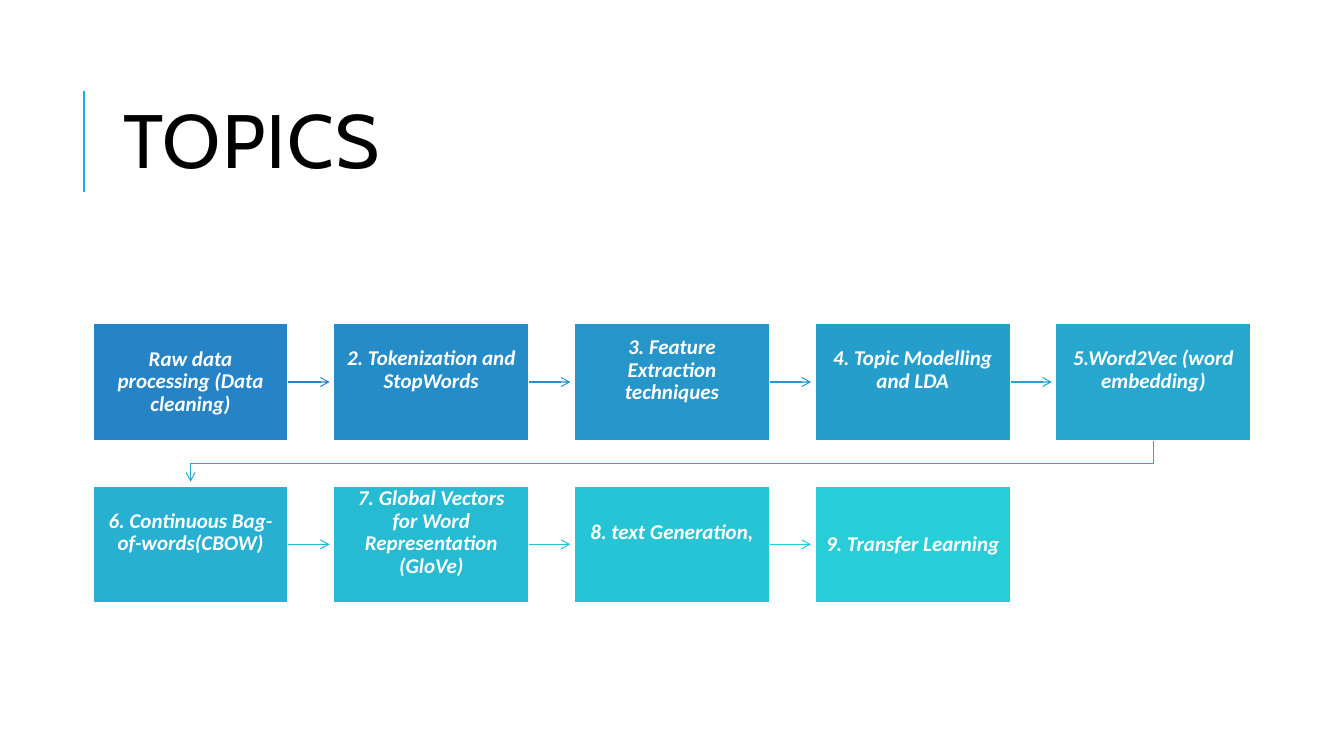
from lxml.etree import SubElement
from pptx import Presentation
from pptx.dml.color import RGBColor
from pptx.enum.shapes import MSO_CONNECTOR, MSO_SHAPE
from pptx.enum.text import MSO_ANCHOR, PP_ALIGN
from pptx.oxml.ns import qn
from pptx.util import Inches, Pt

TITLE = "TOPICS"
TOPICS = [
    ("Raw data processing (Data cleaning)", "2683C6", "2683C6", 0.1),
    ("2. Tokenization and StopWords", "268CC8", "268DC8", 0.33),
    ("3. Feature Extraction techniques", "2695CA", "2697CB", 0.33),
    ("4. Topic Modelling and LDA", "269ECC", "26A2CD", 0.33),
    ("5.Word2Vec (word embedding)", "27A7CE", "27ACD0", 0.33),
    ("6. Continuous Bag-of-words(CBOW)", "27B0D1", "27B7D2", 0.33),
    ("7. Global Vectors for Word Representation (GloVe)", "27BAD3", "27C3D5", 0.33),
    ("8. text Generation,", "27C4D5", "27CED7", 0.33),
    ("9. Transfer Learning", "27CED7", None, 0.1),
]
COLUMNS = 5
FIRST_LEFT, LAST_LEFT = 0.92, 10.47
FIRST_TOP, ROW_PITCH = 3.21, 1.61
BOX_WIDTH, BOX_HEIGHT = 1.94, 1.16
COLUMN_PITCH = (LAST_LEFT - FIRST_LEFT) / (COLUMNS - 1)
ARROW_LENGTH = 0.41
ARROW_GAP = 0.04


def color(value):
    return RGBColor.from_string(value)


def style_line(shape, value, width, arrow=False):
    shape.line.color.rgb = color(value)
    shape.line.width = Pt(width)
    if arrow:
        SubElement(shape.line._get_or_add_ln(), qn("a:tailEnd"), type="arrow")


def add_line(slide, start, end, value, width, arrow=False):
    points = [Inches(number) for number in start + end]
    connector = slide.shapes.add_connector(MSO_CONNECTOR.STRAIGHT, *points)
    style_line(connector, value, width, arrow)
    SubElement(connector._element.spPr, qn("a:effectLst"))
    return connector


def add_title(slide):
    title = slide.shapes.title
    title.left, title.top = Inches(1.12), Inches(0.64)
    title.width, title.height = Inches(10.63), Inches(1.64)
    title.text_frame.vertical_anchor = MSO_ANCHOR.MIDDLE
    paragraph = title.text_frame.paragraphs[0]
    paragraph.alignment = PP_ALIGN.LEFT
    paragraph.line_spacing = 0.8
    run = paragraph.add_run()
    run.text = TITLE
    run.font.name = "Cabin"
    run.font.size = Pt(54)
    run.font.color.rgb = color("000000")
    run.font._element.set("spc", "100")


def add_box(slide, left, top, text, fill, bottom_margin):
    box = slide.shapes.add_shape(
        MSO_SHAPE.RECTANGLE, Inches(left), Inches(top), Inches(BOX_WIDTH), Inches(BOX_HEIGHT)
    )
    box.shadow.inherit = False
    box.fill.solid()
    box.fill.fore_color.rgb = color(fill)
    style_line(box, "FFFFFF", 1.25)
    frame = box.text_frame
    frame.word_wrap = True
    frame.vertical_anchor = MSO_ANCHOR.MIDDLE
    frame.margin_left = frame.margin_right = frame.margin_top = Inches(0.1)
    frame.margin_bottom = Inches(bottom_margin)
    paragraph = frame.paragraphs[0]
    paragraph.alignment = PP_ALIGN.CENTER
    paragraph.line_spacing = 0.9
    run = paragraph.add_run()
    run.text = text
    run.font.name = "Calibri"
    run.font.size = Pt(15)
    run.font.bold = run.font.italic = True
    run.font.color.rgb = color("FFFFFF")
    return box


def add_row_arrow(slide, value):
    start_x, end_x = LAST_LEFT + BOX_WIDTH / 2, FIRST_LEFT + BOX_WIDTH / 2
    start_y, next_top = FIRST_TOP + BOX_HEIGHT, FIRST_TOP + ROW_PITCH
    middle_y = (start_y + next_top) / 2
    corners = [(start_x, middle_y), (end_x, middle_y), (end_x, next_top - ARROW_GAP)]
    builder = slide.shapes.build_freeform(Inches(start_x), Inches(start_y))
    builder.add_line_segments([(Inches(x), Inches(y)) for x, y in corners], close=False)
    bend = builder.convert_to_shape()
    bend.shadow.inherit = False
    bend.fill.background()
    style_line(bend, value, 0.75, arrow=True)


def main():
    presentation = Presentation()
    presentation.slide_width, presentation.slide_height = Inches(13.33), Inches(7.5)
    slide = presentation.slides.add_slide(presentation.slide_layouts[5])
    add_line(slide, (0.83, 1.9), (0.83, 0.9), "1CADE4", 1.5)
    add_title(slide)
    for index, (text, fill, arrow_color, bottom_margin) in enumerate(TOPICS):
        row, column = divmod(index, COLUMNS)
        left = FIRST_LEFT + column * COLUMN_PITCH
        top = FIRST_TOP + row * ROW_PITCH
        box = add_box(slide, left, top, text, fill, bottom_margin)
        if arrow_color is None:
            continue
        if column == COLUMNS - 1:
            add_row_arrow(slide, arrow_color)
            continue
        right, middle = left + BOX_WIDTH, top + BOX_HEIGHT / 2
        arrow = add_line(
            slide, (right, middle), (right + ARROW_LENGTH, middle), arrow_color, 0.75, arrow=True
        )
        arrow.begin_connect(box, 3)
    presentation.save("out.pptx")


if __name__ == "__main__":
    main()
